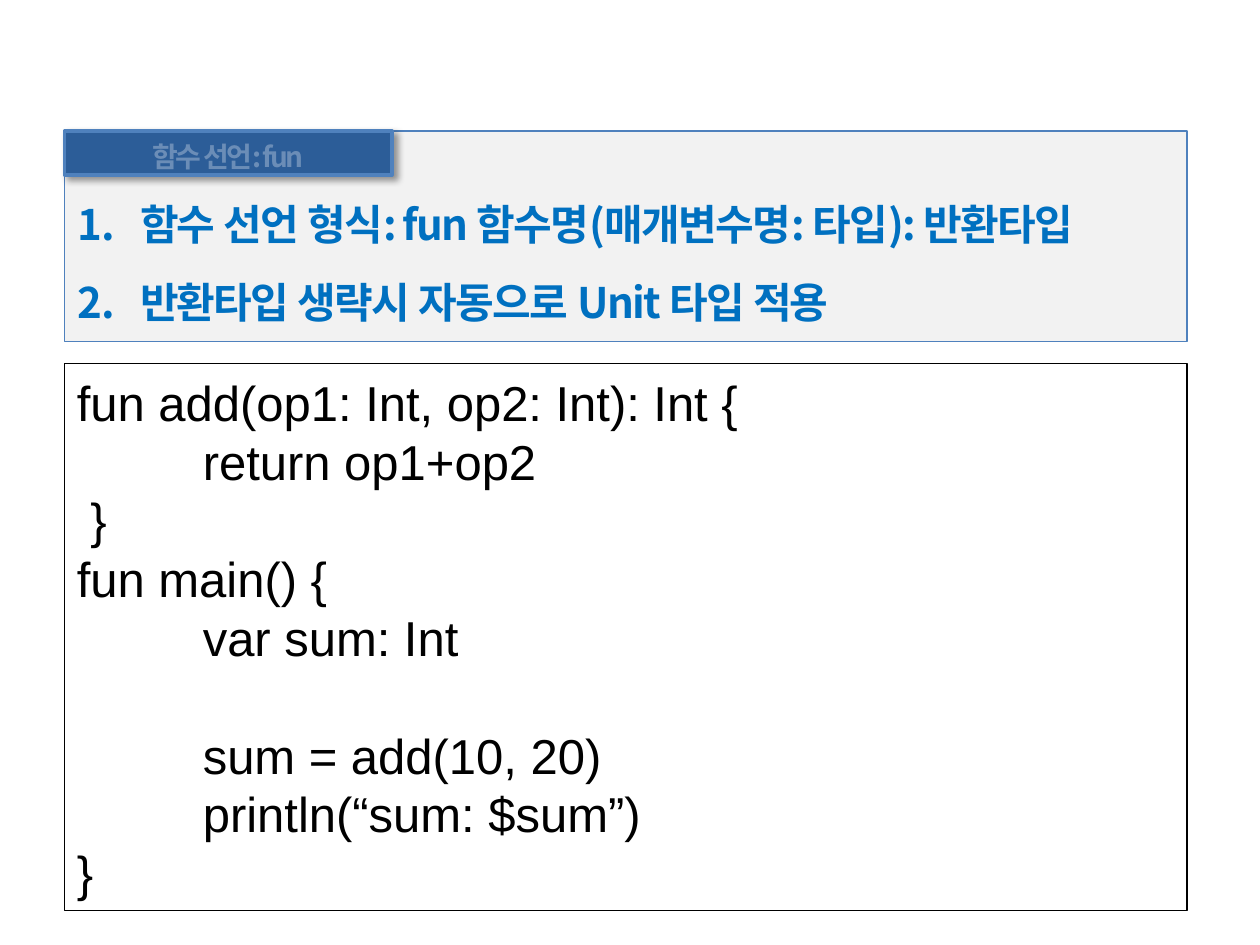
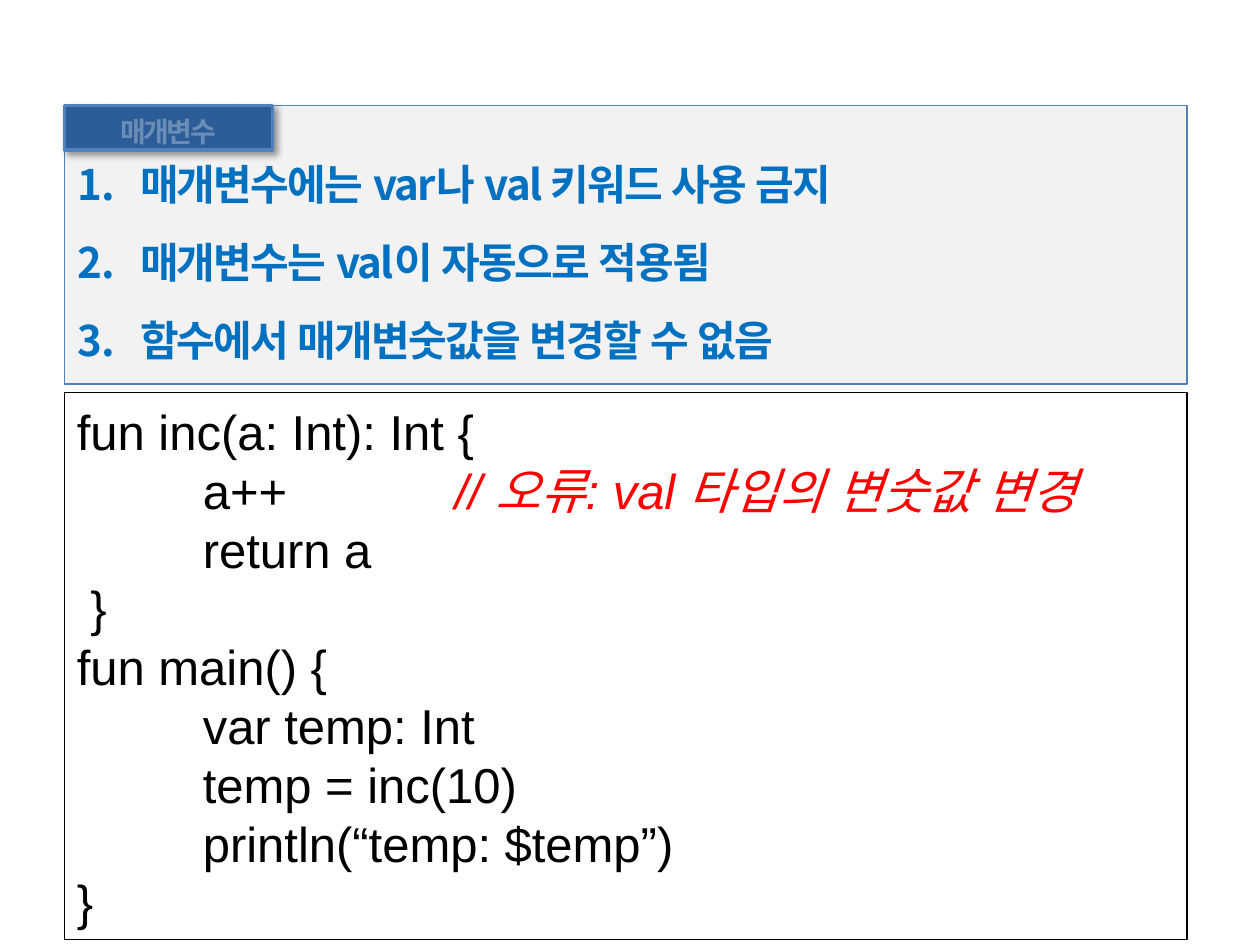
from dataclasses import dataclass

from lxml.etree import SubElement
from pptx import Presentation
from pptx.dml.color import RGBColor
from pptx.enum.shapes import MSO_SHAPE
from pptx.enum.text import MSO_ANCHOR, MSO_AUTO_SIZE, PP_ALIGN
from pptx.oxml.ns import qn
from pptx.util import Cm, Pt

KOREAN, CODE = "Noto Sans CJK KR", "Arial"
WHITE, BLACK, RED = "FFFFFF", "000000", "FF0000"
PANEL, BORDER, CHIP, POINT = "F2F2F2", "4F81BD", "2C5D98", "0070C0"
LEFT, WIDTH = 1.3, 22.63
CHIP_HEIGHT, CODE_HEIGHT = 0.89, 11.02
POINT_PITCH, CODE_PITCH = Pt(34.6), Pt(33.6)
TAB, TAB_COUNT = 2.54, 3


@dataclass
class CodeLine:
    text: str
    comment: str = ""
    gap_before: bool = False


@dataclass
class Topic:
    label: str
    label_width: float
    panel_top: float
    panel_height: float
    panel_inset: float
    points: list[str]
    code_top: float
    code: list[CodeLine]


TOPICS = [
    Topic(
        "함수 선언: fun", 6.6, 2.64, 4.24, 1.16,
        ["함수 선언 형식: fun 함수명(매개변수명: 타입): 반환타입",
         "반환타입 생략시 자동으로 Unit 타입 적용"],
        7.33,
        [CodeLine("fun add(op1: Int, op2: Int): Int {"),
         CodeLine("\treturn op1+op2"),
         CodeLine(" }"),
         CodeLine("fun main() {"),
         CodeLine("\tvar sum: Int"),
         CodeLine("\tsum = add(10, 20)", gap_before=True),
         CodeLine("\tprintln(“sum: $sum”)"),
         CodeLine("}")],
    ),
    Topic(
        "매개변수", 4.19, 2.13, 5.61, 0.86,
        ["매개변수에는 var나 val 키워드 사용 금지",
         "매개변수는 val이 자동으로 적용됨",
         "함수에서 매개변숫값을 변경할 수 없음"],
        7.92,
        [CodeLine("fun inc(a: Int): Int {"),
         CodeLine("\ta++\t\t", comment="// 오류: val 타입의 변숫값 변경"),
         CodeLine("\treturn a"),
         CodeLine(" }"),
         CodeLine("fun main() {"),
         CodeLine("\tvar temp: Int"),
         CodeLine("\ttemp = inc(10)"),
         CodeLine("\tprintln(“temp: $temp”)"),
         CodeLine("}")],
    ),
]


def rgb(color: str) -> RGBColor:
    return RGBColor.from_string(color)


def add_run(p, text: str, *, size: float, color: str, font: str = KOREAN,
            bold: bool = False, italic: bool = False, spacing: float = 0,
            opacity: int = 100) -> None:
    r = p.add_run()
    r.text = text
    r.font.size, r.font.name = Pt(size), font
    r.font.bold, r.font.italic = bold, italic
    r.font.color.rgb = rgb(color)
    rPr = r.font._element
    rPr.set("lang", "ko-KR")
    SubElement(rPr, qn("a:ea"), typeface=KOREAN)
    if spacing:
        rPr.set("spc", str(round(spacing * 100)))
    if opacity < 100:
        SubElement(rPr.find(".//" + qn("a:srgbClr")), qn("a:alpha"),
                   val=str(opacity * 1000))


def paragraphs(tf, count: int) -> list:
    return [tf.paragraphs[0]] + [tf.add_paragraph() for _ in range(count - 1)]


def place(sp, top: float, width: float, height: float) -> None:
    sp.left, sp.top, sp.width, sp.height = map(Cm, (LEFT, top, width, height))


def paint(sp, fill: str, line: str, line_width: float) -> None:
    sp.fill.solid()
    sp.fill.fore_color.rgb = rgb(fill)
    sp.line.color.rgb = rgb(line)
    sp.line.width = Pt(line_width)


def drop_shadow(sp) -> None:
    effects = SubElement(sp._element.spPr, qn("a:effectLst"))
    shadow = SubElement(effects, qn("a:outerShdw"), blurRad=str(Pt(4)),
                        dist=str(Pt(3)), dir="2700000", algn="tl",
                        rotWithShape="0")
    color = SubElement(shadow, qn("a:srgbClr"), val=BLACK)
    SubElement(color, qn("a:alpha"), val="40000")


def number(p) -> None:
    """Give the paragraph an automatic number and a hanging indent."""
    pPr = p._p.get_or_add_pPr()
    pPr.set("marL", str(Cm(1.27)))
    pPr.set("indent", str(-Cm(1.27)))
    SubElement(pPr, qn("a:buFont"), typeface="+mj-lt")
    SubElement(pPr, qn("a:buAutoNum"), type="arabicPeriod")


def add_tabs(p) -> None:
    tabs = SubElement(p._p.get_or_add_pPr(), qn("a:tabLst"))
    for i in range(1, TAB_COUNT + 1):
        SubElement(tabs, qn("a:tab"), pos=str(Cm(TAB * i)), algn="l")


def set_points(s, topic: Topic) -> None:
    sp = s.placeholders[1]
    place(sp, topic.panel_top, WIDTH, topic.panel_height)
    paint(sp, PANEL, BORDER, 0.75)
    tf = sp.text_frame
    tf.word_wrap, tf.auto_size = True, MSO_AUTO_SIZE.NONE
    tf.margin_top = Cm(topic.panel_inset)
    for p, text in zip(paragraphs(tf, len(topic.points)), topic.points):
        p.line_spacing = POINT_PITCH
        p.space_before, p.space_after = Pt(0), Pt(10)
        number(p)
        add_run(p, text, size=24, color=POINT, bold=True, spacing=-1)


def set_label(s, topic: Topic) -> None:
    """Turn the title into a small tab in front of the panel's corner."""
    sp = s.shapes.title
    s.placeholders[1]._element.addnext(sp._element)
    place(sp, topic.panel_top, topic.label_width, CHIP_HEIGHT)
    paint(sp, CHIP, BORDER, 2)
    drop_shadow(sp)
    tf = sp.text_frame
    tf.word_wrap, tf.auto_size = False, MSO_AUTO_SIZE.NONE
    tf.vertical_anchor = MSO_ANCHOR.MIDDLE
    p = tf.paragraphs[0]
    p.alignment, p.line_spacing = PP_ALIGN.CENTER, 1.2
    add_run(p, topic.label, size=16, color=WHITE, bold=True, spacing=-1.5,
            opacity=30)


def add_code(s, topic: Topic) -> None:
    sp = s.shapes.add_shape(MSO_SHAPE.RECTANGLE, Cm(LEFT), Cm(topic.code_top),
                            Cm(WIDTH), Cm(CODE_HEIGHT))
    sp.shadow.inherit = False
    paint(sp, WHITE, BLACK, 0.75)
    tf = sp.text_frame
    tf.word_wrap, tf.vertical_anchor = True, MSO_ANCHOR.MIDDLE
    for p, line in zip(paragraphs(tf, len(topic.code)), topic.code):
        p.alignment, p.line_spacing = PP_ALIGN.LEFT, CODE_PITCH
        if line.gap_before:
            p.space_before = CODE_PITCH
        add_tabs(p)
        add_run(p, line.text, size=28, color=BLACK, font=CODE)
        if line.comment:
            add_run(p, line.comment, size=28, color=RED, font=CODE, italic=True)


def main() -> None:
    prs = Presentation()
    prs.slide_width, prs.slide_height = Cm(25.4), Cm(19.05)
    for topic in TOPICS:
        s = prs.slides.add_slide(prs.slide_layouts[1])
        set_points(s, topic)
        set_label(s, topic)
        add_code(s, topic)
    prs.save("out.pptx")


if __name__ == "__main__":
    main()
